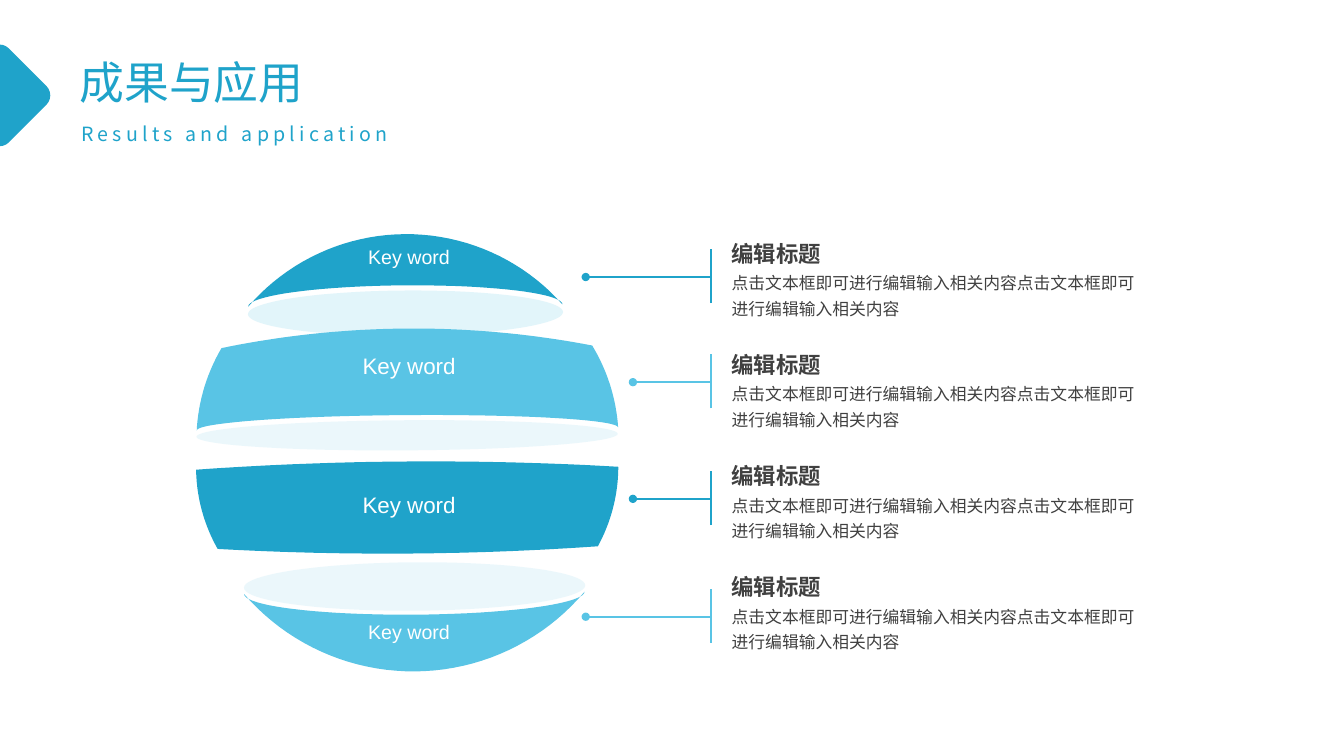
from dataclasses import dataclass
from math import asin, cos, hypot, pi, sin

from lxml.etree import SubElement
from pptx import Presentation
from pptx.dml.color import RGBColor
from pptx.enum.shapes import MSO_CONNECTOR, MSO_SHAPE
from pptx.enum.text import MSO_ANCHOR, MSO_AUTO_SIZE, PP_ALIGN
from pptx.oxml.ns import qn
from pptx.util import Cm, Pt

BLUE = RGBColor(0x1F, 0xA3, 0xCA)
SKY = RGBColor(0x59, 0xC4, 0xE5)
AQUA = RGBColor(0x9F, 0xDE, 0xF0)
PALE = RGBColor(0xBD, 0xE7, 0xF5)
GREY = RGBColor(0x40, 0x40, 0x40)
WHITE = RGBColor(0xFF, 0xFF, 0xFF)
CJK_FONT = "Noto Sans CJK SC"
LATIN_FONT = "Arial"

SPHERE_TILT = 359.6
ARC_STEPS = 40
KEYWORD_CENTER = 10.31
BAR_X = 17.91
TEXT_X = 18.19
HEADING_TOP, BODY_TOP, TEXT_PITCH = 5.92, 6.63, 2.8
BODY_TEXT = "点击文本框即可进行编辑输入相关内容" + "点击文本框即可进行编辑输入相关内容"

Point = tuple[float, float]


@dataclass(frozen=True)
class Edge:
    """Upper or lower edge of a slice; a negative bulge curves inwards."""
    y: float
    half_width: float
    bulge: float
    elliptic: bool = False


@dataclass(frozen=True)
class Slice:
    center: float
    top: Edge
    bottom: Edge
    color: RGBColor
    side_bulge: float = 0
    alpha: int = 100


@dataclass(frozen=True)
class Callout:
    stem_y: float
    dot_x: float
    color: RGBColor
    keyword_top: float
    keyword_size: int


def lid(center: float, y: float, half_width: float, bulge: float, color: RGBColor) -> Slice:
    edge = Edge(y, half_width, bulge, True)
    return Slice(center, edge, edge, color, alpha=30)


SLICES = [
    Slice(10.27, Edge(11.8, 5.32, 0.17), Edge(13.8, 4.79, 0.15), BLUE, 0.13),
    Slice(10.21, Edge(7.7, 3.96, 1.8), Edge(7.7, 3.96, -0.51, True), BLUE),
    lid(10.22, 7.89, 3.97, 0.57, AQUA),
    Slice(10.26, Edge(8.74, 4.67, 0.46), Edge(10.81, 5.31, -0.35, True), SKY, 0.13),
    lid(10.26, 10.97, 5.31, 0.38, PALE),
    Slice(10.45, Edge(14.94, 4.29, -0.55, True), Edge(14.94, 4.29, 1.98), SKY),
    lid(10.45, 14.78, 4.3, 0.61, PALE),
]

CALLOUTS = [
    Callout(6.98, 14.76, BLUE, 6.05, 14),
    Callout(9.63, 15.95, SKY, 8.74, 16),
    Callout(12.57, 15.95, BLUE, 12.24, 16),
    Callout(15.54, 14.76, SKY, 15.49, 14),
]


def arc(start: Point, end: Point, bulge: float, elliptic: bool = False) -> list[Point]:
    """Points of a circular or half-elliptic arc, bulging to the left of its direction."""
    delta_x, delta_y = end[0] - start[0], end[1] - start[1]
    length = hypot(delta_x, delta_y)
    if length == 0:
        return [start]
    unit_x, unit_y = delta_x / length, delta_y / length
    middle_x, middle_y = (start[0] + end[0]) / 2, (start[1] + end[1]) / 2
    half = length / 2
    if elliptic:
        along_radius, out_radius, half_angle = half, bulge, pi / 2
    else:
        along_radius = out_radius = (half ** 2 + bulge ** 2) / (2 * bulge)
        half_angle = asin(half / along_radius)
    points = []
    for step in range(ARC_STEPS + 1):
        angle = half_angle * (2 * step / ARC_STEPS - 1)
        along = along_radius * sin(angle)
        out = out_radius * cos(angle) - (out_radius - bulge)
        points.append((middle_x + along * unit_x + out * unit_y,
                       middle_y + along * unit_y - out * unit_x))
    return points


def add_slice(slide, part: Slice) -> None:
    top, bottom = part.top, part.bottom
    top_left, top_right = [(part.center + side * top.half_width, top.y) for side in (-1, 1)]
    bottom_left, bottom_right = [
        (part.center + side * bottom.half_width, bottom.y) for side in (-1, 1)]
    outline = (arc(top_left, top_right, top.bulge, top.elliptic)
               + arc(top_right, bottom_right, part.side_bulge)
               + arc(bottom_right, bottom_left, bottom.bulge, bottom.elliptic)
               + arc(bottom_left, top_left, part.side_bulge))
    points = [(Cm(x), Cm(y)) for x, y in outline]
    builder = slide.shapes.build_freeform(*points[0])
    builder.add_line_segments(points[1:], close=True)
    shape = builder.convert_to_shape()
    shape.rotation = SPHERE_TILT
    paint(shape, part.color)
    if part.alpha < 100:
        color = shape.fill._xPr.find(qn("a:solidFill"))[0]
        SubElement(color, qn("a:alpha"), val=str(part.alpha * 1000))


def paint(shape, color: RGBColor) -> None:
    shape.shadow.inherit = False
    shape.fill.solid()
    shape.fill.fore_color.rgb = color
    shape.line.fill.background()


def write(shape, text: str, *, left: float, top: float, width: float, height: float,
          size: int, color: RGBColor, font: str = CJK_FONT, bold: bool = False,
          align: PP_ALIGN = PP_ALIGN.LEFT, line_spacing: float = 1.0,
          letter_spacing: int = 0, wrap: bool = True) -> None:
    """Place a text shape (cm) and fill it with one formatted paragraph (pt)."""
    shape.left, shape.top, shape.width, shape.height = map(Cm, (left, top, width, height))
    frame = shape.text_frame
    frame.word_wrap = wrap
    frame.auto_size = MSO_AUTO_SIZE.SHAPE_TO_FIT_TEXT
    frame.vertical_anchor = MSO_ANCHOR.TOP
    paragraph = frame.paragraphs[0]
    paragraph.alignment = align
    paragraph.line_spacing = line_spacing
    run = paragraph.add_run()
    run.text = text
    run.font.size = Pt(size)
    run.font.bold = bold
    run.font.color.rgb = color
    run.font.name = font
    properties = run._r.get_or_add_rPr()
    SubElement(properties, qn("a:ea"), typeface=font)
    if letter_spacing:
        properties.set("spc", str(letter_spacing * 100))


def add_text(slide, text: str, **options) -> None:
    write(slide.shapes.add_textbox(0, 0, 0, 0), text, **options)


def add_line(slide, start: Point, end: Point, color: RGBColor, dot: bool = False) -> None:
    connector = slide.shapes.add_connector(
        MSO_CONNECTOR.STRAIGHT, *(Cm(value) for value in start + end))
    connector.line.color.rgb = color
    connector.line.width = Pt(1.5)
    if dot:
        SubElement(connector.line._get_or_add_ln(), qn("a:tailEnd"), type="oval")
    SubElement(connector._element.spPr, qn("a:effectLst"))


def add_callout(slide, index: int, callout: Callout) -> None:
    y = callout.stem_y
    add_line(slide, (BAR_X, y + 0.66), (BAR_X, y - 0.7), callout.color)
    add_line(slide, (BAR_X, y), (callout.dot_x, y), callout.color, dot=True)
    add_text(slide, "Key word", left=KEYWORD_CENTER - 1.45, top=callout.keyword_top,
             width=2.9, height=0.9, size=callout.keyword_size, color=WHITE,
             font=LATIN_FONT, align=PP_ALIGN.CENTER, wrap=False)
    offset = index * TEXT_PITCH
    add_text(slide, BODY_TEXT, left=TEXT_X, top=BODY_TOP + offset, width=10.95,
             height=1.47, size=12, color=GREY, line_spacing=1.25)
    add_text(slide, "编辑标题", left=TEXT_X, top=HEADING_TOP + offset, width=3.99,
             height=0.94, size=16, color=GREY, bold=True)


def main() -> None:
    presentation = Presentation()
    presentation.slide_width, presentation.slide_height = Cm(33.87), Cm(19.05)
    slide = presentation.slides.add_slide(presentation.slide_layouts[5])

    marker = slide.shapes.add_shape(
        MSO_SHAPE.ROUNDED_RECTANGLE, Cm(-1.02), Cm(1.4), Cm(2.01), Cm(2.01))
    marker.rotation = 45
    paint(marker, BLUE)
    write(slide.shapes.title, "成果与应用", left=1.75, top=1.24, width=9.53, height=1.63,
          size=32, color=BLUE)
    add_text(slide, "Results and application", left=1.8, top=2.64, width=10.92, height=1.04,
             size=14, color=BLUE, line_spacing=1.5, letter_spacing=3)

    for part in SLICES:
        add_slice(slide, part)
    for index, callout in enumerate(CALLOUTS):
        add_callout(slide, index, callout)
    presentation.save("out.pptx")


if __name__ == "__main__":
    main()
